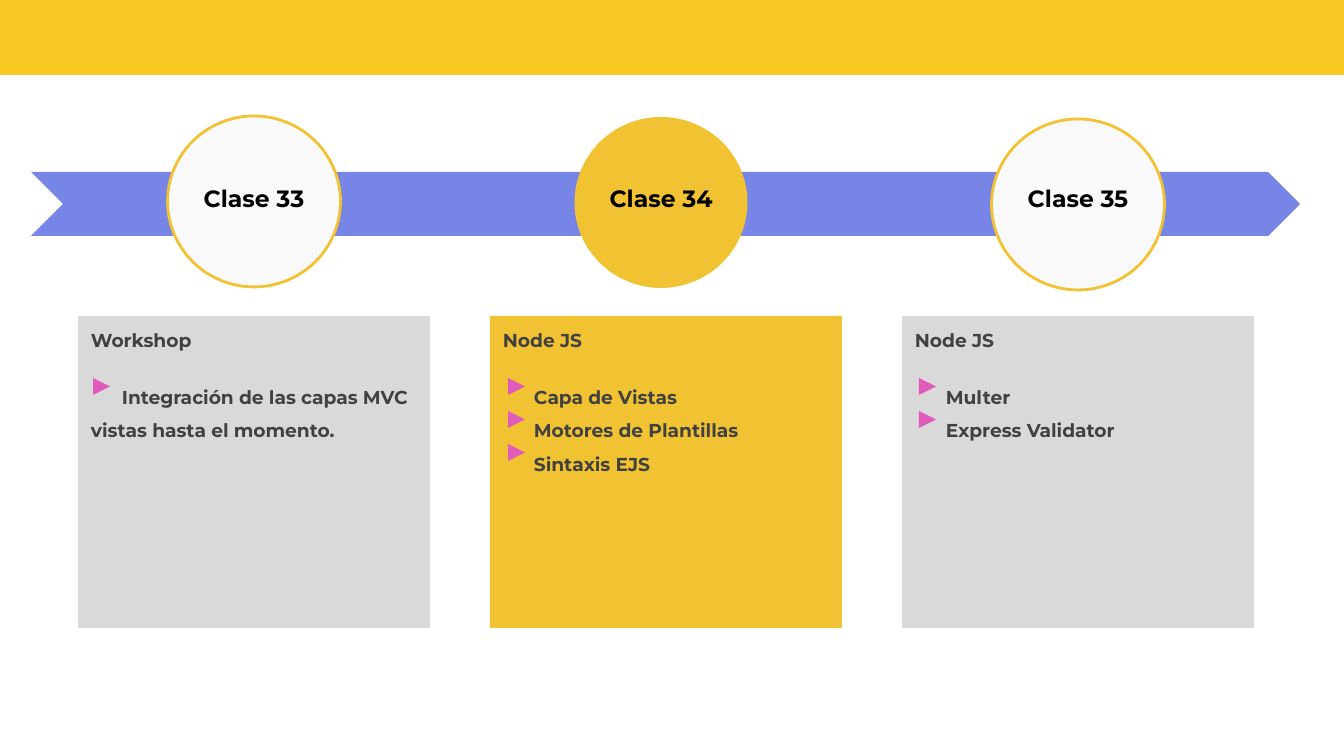
from pptx import Presentation
from pptx.dml.color import RGBColor
from pptx.enum.shapes import MSO_SHAPE
from pptx.enum.text import MSO_ANCHOR, MSO_AUTO_SIZE, PP_ALIGN
from pptx.util import Pt

COLORS = {
    "banner": "F8C823", "arrow": "7685E6", "gold": "F1C232", "pale": "F9F9F9",
    "gray": "D9D9D9", "bullet": "E15BBA", "title": "000000", "text": "414141",
}
CLASSES = [
    {"name": "Clase 33", "center": 254, "top": 116, "bullet": 93, "topic": "Workshop",
     "items": ["Integración de las capas MVC vistas hasta el momento."]},
    {"name": "Clase 34", "center": 661, "top": 117, "bullet": 508, "topic": "Node JS",
     "items": ["Capa de Vistas", "Motores de Plantillas", "Sintaxis EJS"], "current": True},
    {"name": "Clase 35", "center": 1078, "top": 119, "bullet": 919, "topic": "Node JS",
     "items": ["Multer", "Express Validator"]},
]
PX = 9144000 / 1344
CIRCLE_W, CIRCLE_H = 173, 171
LABEL_W, LABEL_H, LABEL_TOP = 160, 44, 171
CARD_LEFT, CARD_TOP, CARD_W, CARD_H, CARD_STEP = 78, 316, 352, 312, 412
BULLET, BULLET_TOP, BULLET_STEP = 17, 378, 33
ITEM_INDENT = 31
FRAME = {
    "word_wrap": True, "auto_size": MSO_AUTO_SIZE.NONE, "vertical_anchor": MSO_ANCHOR.TOP,
    "margin_left": px_inset if (px_inset := round(13 * PX)) else 0,
    "margin_right": px_inset, "margin_top": px_inset, "margin_bottom": px_inset,
}


def px(n):
    return round(n * PX)


def rgb(name):
    return RGBColor.from_string(COLORS[name])


def apply(target, values):
    for key, value in values.items():
        setattr(target, key, value)


def add_shape(s, kind, box, fill, line=None):
    sp = s.shapes.add_shape(kind, *map(px, box))
    sp.shadow.inherit = False
    sp.fill.solid()
    sp.fill.fore_color.rgb = rgb(fill)
    if line:
        sp.line.color.rgb = rgb(line)
        sp.line.width = Pt(1.5)
    else:
        sp.line.fill.background()
    return sp


def write(p, text, size, color, align):
    p.alignment = align
    r = p.add_run()
    r.text = text
    apply(r.font, {"name": "Montserrat", "size": Pt(size), "bold": True})
    r.font.color.rgb = rgb(color)


def add_label(s, group):
    box = [px(n) for n in (group["center"] - LABEL_W / 2, LABEL_TOP, LABEL_W, LABEL_H)]
    if group.get("current"):
        sp = s.shapes.title
        apply(sp, dict(zip(("left", "top", "width", "height"), box)))
        s.shapes.element.append(sp.element)
    else:
        sp = s.shapes.add_textbox(*box)
    apply(sp.text_frame, FRAME)
    write(sp.text_frame.paragraphs[0], group["name"], 12.6, "title", PP_ALIGN.CENTER)


def add_card(s, i, group):
    fill = "gold" if group.get("current") else "gray"
    box = (CARD_LEFT + i * CARD_STEP, CARD_TOP, CARD_W, CARD_H)
    tf = add_shape(s, MSO_SHAPE.RECTANGLE, box, fill).text_frame
    apply(tf, FRAME)
    write(tf.paragraphs[0], group["topic"], 10, "text", PP_ALIGN.LEFT)
    for row, item in enumerate(group["items"]):
        p = tf.add_paragraph()
        p.line_spacing = 1.5
        p.space_before = Pt(0 if row else 12.2)
        pPr = p._p.get_or_add_pPr()
        pPr.set("marL", "0")
        pPr.set("indent", str(px(ITEM_INDENT)))
        write(p, item, 10, "text", PP_ALIGN.LEFT)
        box = (group["bullet"], BULLET_TOP + row * BULLET_STEP, BULLET, BULLET)
        add_shape(s, MSO_SHAPE.ISOSCELES_TRIANGLE, box, "bullet").rotation = 90


prs = Presentation()
prs.slide_width, prs.slide_height = px(1344), px(756)
s = prs.slides.add_slide(prs.slide_layouts[5])
add_shape(s, MSO_SHAPE.RECTANGLE, (0, 0, 1344, 75), "banner")
add_shape(s, MSO_SHAPE.CHEVRON, (31, 172, 1269, 64), "arrow")
for i, group in enumerate(CLASSES):
    fill, line = ("gold", None) if group.get("current") else ("pale", "gold")
    box = (group["center"] - CIRCLE_W / 2, group["top"], CIRCLE_W, CIRCLE_H)
    add_shape(s, MSO_SHAPE.OVAL, box, fill, line)
    add_label(s, group)
    add_card(s, i, group)
prs.save("out.pptx")
